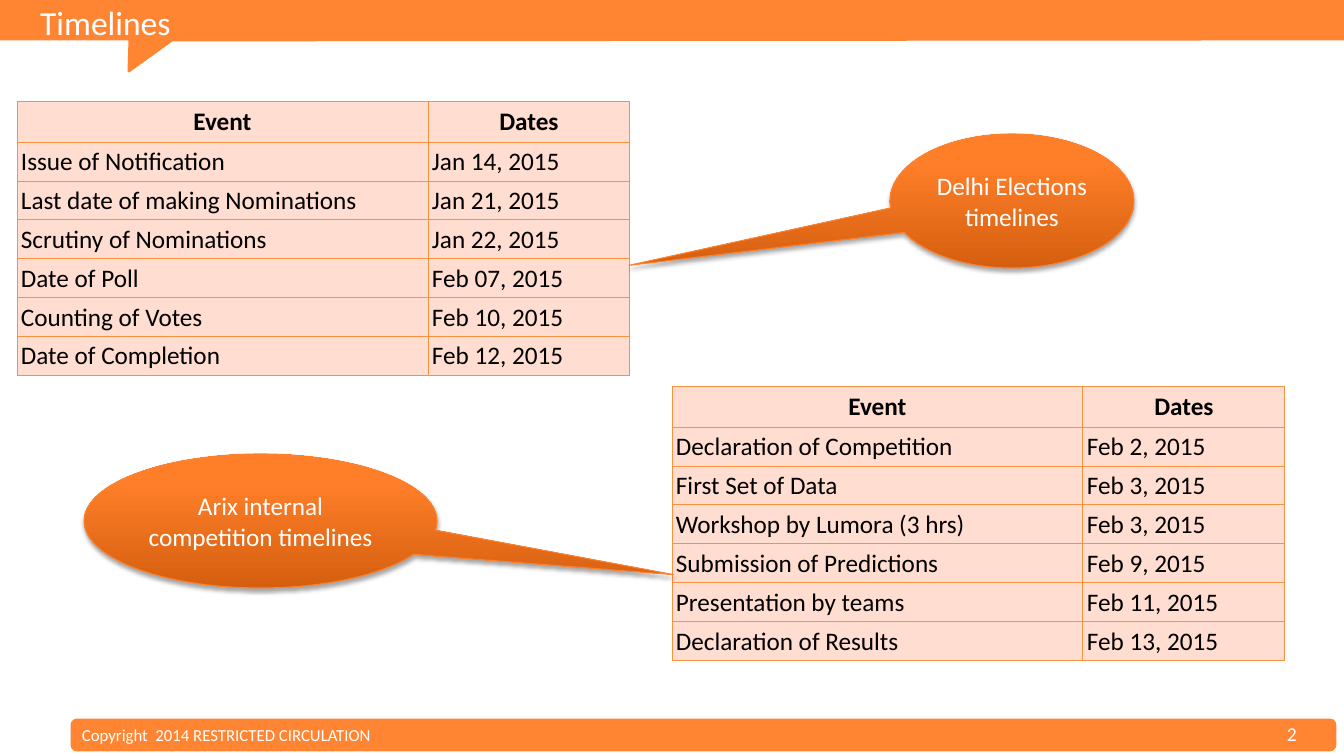
from dataclasses import dataclass

import pptx
import pptx.dml.color
import pptx.enum.shapes
import pptx.enum.text
import pptx.oxml
import pptx.oxml.ns
import pptx.util
from lxml import etree

SCALE = 914400 / 100.8
FONT = "Calibri"
COLORS = {
    "orange": "FF8533", "white": "FFFFFF", "black": "000000",
    "cell": "FFDDD0", "border": "F69240", "callout_line": "FE812D",
    "dark": "D55F0F", "middle": "FF7F29", "light": "FF802B",
}
GRADIENT = ((0, "dark"), (80, "middle"), (100, "light"))
COLUMNS = (411, 202)
HEADER_HEIGHT, ROW_HEIGHT = 41, 39
ALIGN = pptx.enum.text.PP_ALIGN
ANCHOR = pptx.enum.text.MSO_ANCHOR
SHAPE = pptx.enum.shapes.MSO_SHAPE


@dataclass
class Schedule:
    """A table of events and dates."""
    left: int
    top: int
    events: tuple[tuple[str, str], ...]


@dataclass
class Callout:
    """An ellipse whose tail points at a schedule."""
    left: int
    top: int
    width: int
    height: int
    tail: tuple[float, float]
    text: str


ELECTION = Schedule(17, 101, (
    ("Issue of Notification", "Jan 14, 2015"),
    ("Last date of making Nominations", "Jan 21, 2015"),
    ("Scrutiny of Nominations", "Jan 22, 2015"),
    ("Date of Poll", "Feb 07, 2015"),
    ("Counting of Votes", "Feb 10, 2015"),
    ("Date of Completion", "Feb 12, 2015"),
))
COMPETITION = Schedule(672, 386, (
    ("Declaration of Competition", "Feb 2, 2015"),
    ("First Set of Data", "Feb 3, 2015"),
    ("Workshop by Lumora (3 hrs)", "Feb 3, 2015"),
    ("Submission of Predictions", "Feb 9, 2015"),
    ("Presentation by teams", "Feb 11, 2015"),
    ("Declaration of Results", "Feb 13, 2015"),
))
ELECTION_NOTE = Callout(890, 134, 244, 134, (-1.57, 0.48), "Delhi Elections timelines")
COMPETITION_NOTE = Callout(84, 454, 353, 134, (1.17, 0.4), "Arix internal competition timelines")


def px(value: float) -> pptx.util.Emu:
    """Turn pixels into EMU."""
    return pptx.util.Emu(round(value * SCALE))


def rgb(name: str) -> pptx.dml.color.RGBColor:
    """Look up a named colour."""
    return pptx.dml.color.RGBColor.from_string(COLORS[name])


def write(frame, text: str, size: int = 18, color: str = "white", bold: bool = False,
          align=ALIGN.LEFT, anchor=ANCHOR.MIDDLE, wrap: bool = True) -> None:
    """Put one formatted paragraph in a text frame."""
    frame.word_wrap = wrap
    frame.vertical_anchor = anchor
    para = frame.paragraphs[0]
    para.alignment = align
    span = para.add_run()
    span.text = text
    span.font.name = FONT
    span.font.size = pptx.util.Pt(size)
    span.font.bold = bold
    span.font.color.rgb = rgb(color)


def paint(shape) -> None:
    """Give a frame part its flat orange fill and line."""
    shape.shadow.inherit = False
    shape.fill.solid()
    shape.fill.fore_color.rgb = rgb("orange")
    shape.line.color.rgb = rgb("orange")
    shape.line.width = pptx.util.Pt(2)


def add_label(page, left: int, top: int, width: int, height: int, text: str,
              **style) -> None:
    """Add a text box."""
    box = page.shapes.add_textbox(px(left), px(top), px(width), px(height))
    write(box.text_frame, text, **style)


def add_frame(page) -> None:
    """Draw the banner with its pointer and the footer."""
    builder = page.shapes.build_freeform(-3, 0, scale=SCALE)
    builder.add_line_segments(
        ((1344, 0), (1344, 39), (172, 40), (129, 71), (130, 39), (-3, 39)), close=True)
    paint(builder.convert_to_shape())
    paint(page.shapes.add_shape(SHAPE.ROUNDED_RECTANGLE, px(72), px(720), px(1263), px(30)))
    add_label(page, 72, 720, 484, 30, "Copyright  2014 RESTRICTED CIRCULATION", size=12)
    add_label(page, 1277, 717, 43, 34, "2", size=14, wrap=False)


def add_title(page, text: str) -> None:
    """Place the title in front of the banner."""
    title = page.shapes.title
    title.left, title.top, title.width, title.height = px(30), px(-3), px(1246), px(41)
    write(title.text_frame, text, size=24, anchor=ANCHOR.TOP)
    title.element.getparent().append(title.element)


def format_cell(cell, text: str, header: bool) -> None:
    """Write a cell and set its margins, borders and fill."""
    side, edge = (10, 5) if header else (4, 4)
    cell.margin_left = cell.margin_right = px(side)
    cell.margin_top = cell.margin_bottom = px(edge)
    write(cell.text_frame, text, color="black", bold=header,
          align=ALIGN.CENTER if header else ALIGN.LEFT)
    cell.vertical_anchor = ANCHOR.MIDDLE
    properties = cell._tc.get_or_add_tcPr()
    for name in ("lnL", "lnR", "lnT", "lnB"):
        properties.append(pptx.oxml.parse_xml(
            f'<a:{name} {pptx.oxml.ns.nsdecls("a")} w="9525"><a:solidFill>'
            f'<a:srgbClr val="{COLORS["border"]}"/></a:solidFill></a:{name}>'))
    cell.fill.solid()
    cell.fill.fore_color.rgb = rgb("cell")


def add_schedule(page, schedule: Schedule) -> None:
    """Draw a table of events under its header row."""
    rows = (("Event", "Dates"),) + schedule.events
    height = HEADER_HEIGHT + ROW_HEIGHT * len(schedule.events)
    table = page.shapes.add_table(len(rows), len(COLUMNS), px(schedule.left), px(schedule.top),
                                  px(sum(COLUMNS)), px(height)).table
    table.first_row = table.horz_banding = False
    for column, width in zip(table.columns, COLUMNS):
        column.width = px(width)
    for index, values in enumerate(rows):
        table.rows[index].height = px(ROW_HEIGHT if index else HEADER_HEIGHT)
        for place, text in enumerate(values):
            format_cell(table.cell(index, place), text, header=index == 0)


def add_callout(page, note: Callout) -> None:
    """Draw a shaded ellipse callout."""
    shape = page.shapes.add_shape(SHAPE.OVAL_CALLOUT, px(note.left), px(note.top),
                                  px(note.width), px(note.height))
    for index, value in enumerate(note.tail):
        shape.adjustments[index] = value
    shape.fill.gradient()
    shape.fill.gradient_angle = 90
    qn = pptx.oxml.ns.qn
    stops = shape.element.spPr.find(".//" + qn("a:gsLst"))
    for stop in list(stops):
        stops.remove(stop)
    for position, color in GRADIENT:
        stop = etree.SubElement(stops, qn("a:gs"), pos=str(position * 1000))
        etree.SubElement(stop, qn("a:srgbClr"), val=COLORS[color])
    shape.line.color.rgb = rgb("callout_line")
    shape.line.width = pptx.util.Pt(0.75)
    shape.shadow.inherit = False
    effects = shape.element.spPr.find(qn("a:effectLst"))
    shadow = etree.SubElement(effects, qn("a:outerShdw"), blurRad="40000", dist="23000",
                              dir="5400000", rotWithShape="0")
    tint = etree.SubElement(shadow, qn("a:srgbClr"), val=COLORS["black"])
    etree.SubElement(tint, qn("a:alpha"), val="35000")
    write(shape.text_frame, note.text, align=ALIGN.CENTER)


deck = pptx.Presentation()
deck.slide_width, deck.slide_height = px(1344), px(756)
page = deck.slides.add_slide(deck.slide_layouts[5])
add_frame(page)
add_title(page, "Timelines")
for schedule, note in ((ELECTION, ELECTION_NOTE), (COMPETITION, COMPETITION_NOTE)):
    add_schedule(page, schedule)
    add_callout(page, note)
deck.save("out.pptx")
